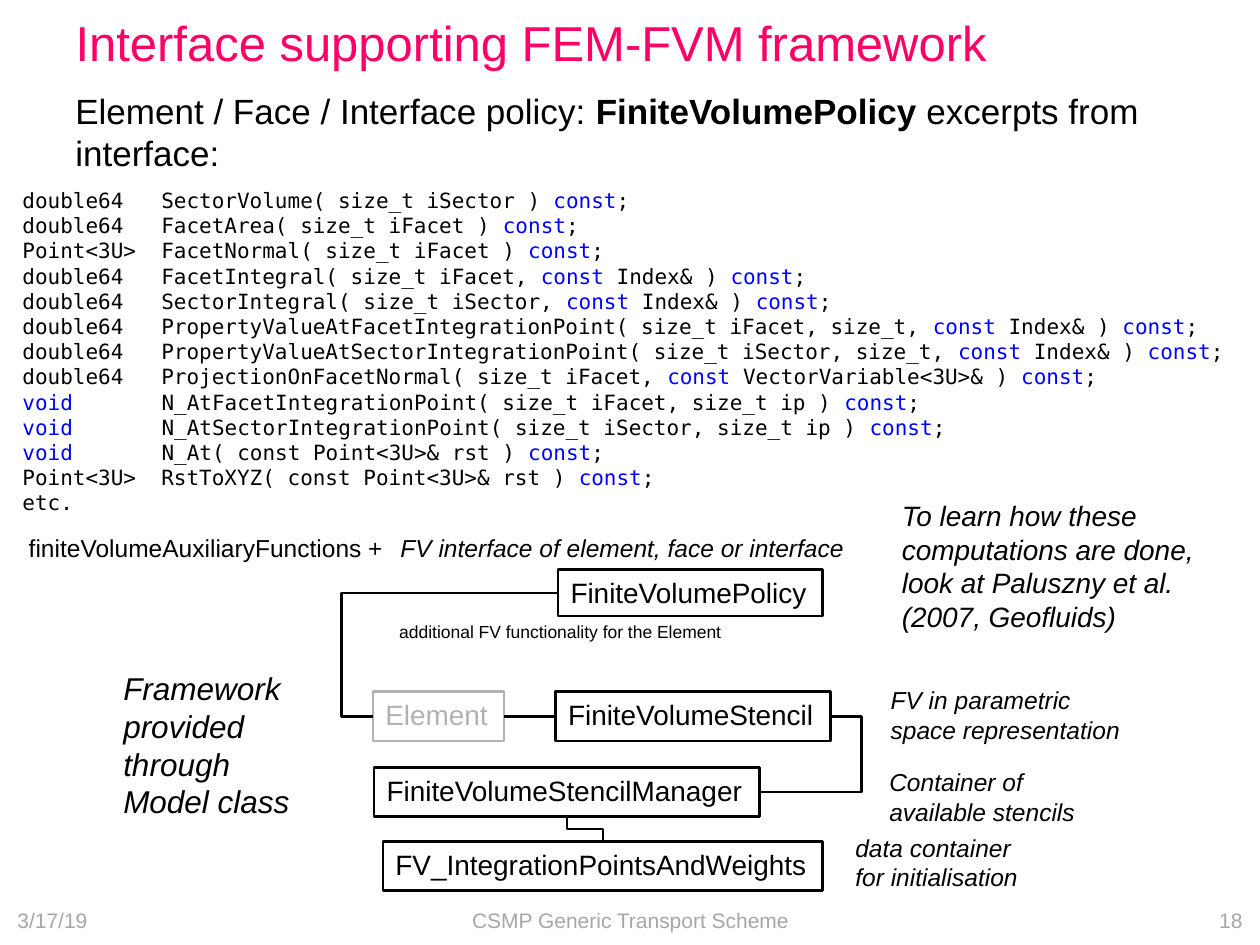
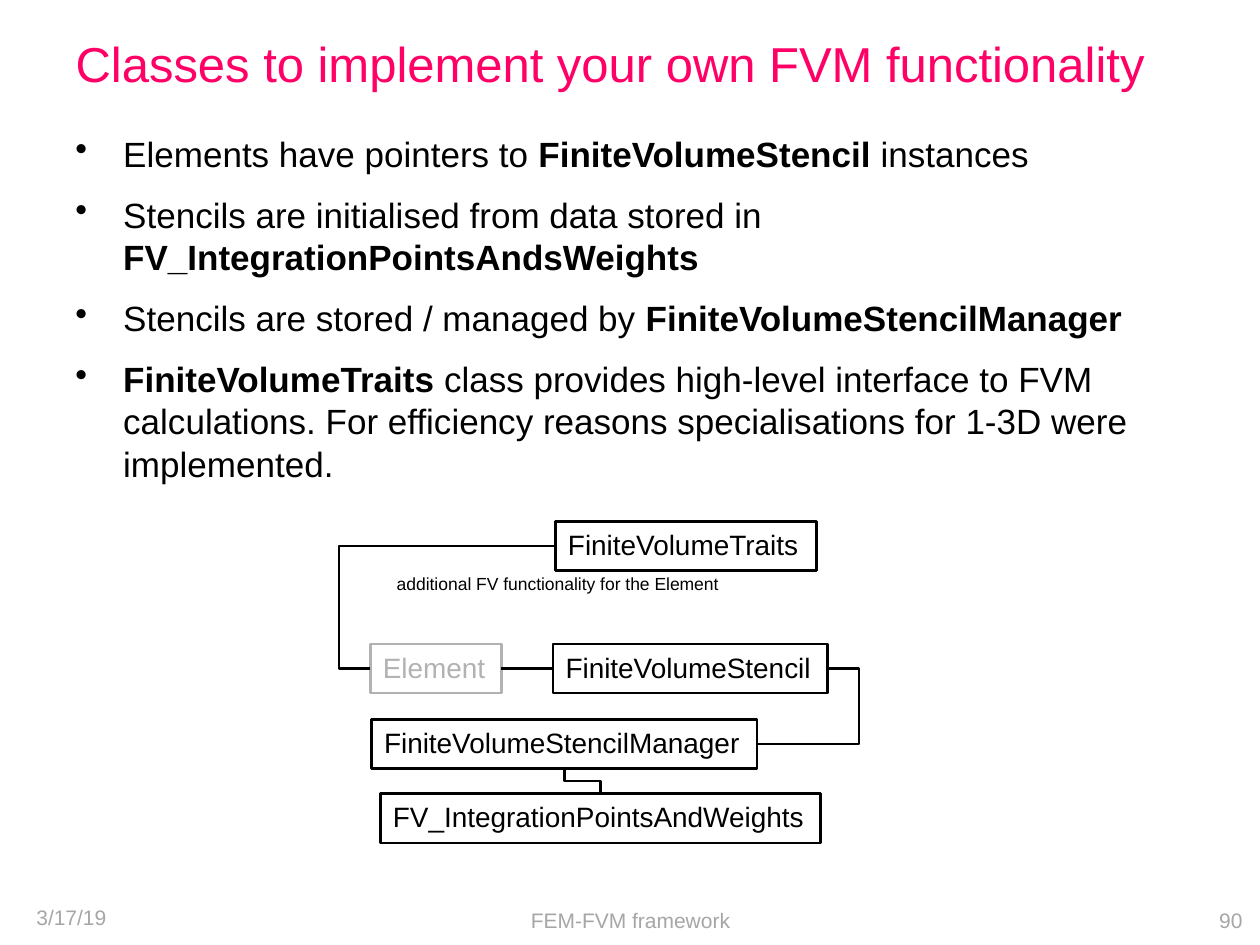
from pptx import Presentation
from pptx.dml.color import RGBColor
from pptx.enum.shapes import MSO_CONNECTOR, MSO_SHAPE
from pptx.enum.text import MSO_ANCHOR, MSO_AUTO_SIZE, PP_ALIGN
from pptx.oxml.ns import qn
from pptx.util import Inches, Pt
from lxml import etree

LEFT, CENTER, RIGHT = PP_ALIGN.LEFT, PP_ALIGN.CENTER, PP_ALIGN.RIGHT
TOP, MIDDLE = MSO_ANCHOR.TOP, MSO_ANCHOR.MIDDLE
STRAIGHT, ELBOW = MSO_CONNECTOR.STRAIGHT, MSO_CONNECTOR.ELBOW
RIGHT_SIDE, LEFT_SIDE = 3, 1

COLORS = {"title": "FF0066", "text": "000000", "keyword": "0000FF",
          "muted": "B2B2B2", "footer": "A6A6A6"}
BODY_FONT, CODE_FONT = "Arial", "DejaVu Sans Mono"
LINE_WIDTH = Pt(1.5)

# Content: text between bars is emphasised (bold, or keyword colour in code)
POLICY_INTRO = ["Element / Face / Interface policy: |FiniteVolumePolicy| excerpts from interface:"]
CODE = [
    "double64   SectorVolume( size_t iSector ) |const|;",
    "double64   FacetArea( size_t iFacet ) |const|;",
    "Point<3U>  FacetNormal( size_t iFacet ) |const|;",
    "double64   FacetIntegral( size_t iFacet, |const |Index& ) |const|;",
    "double64   SectorIntegral( size_t iSector, |const |Index& ) |const|;",
    "double64   PropertyValueAtFacetIntegrationPoint( size_t iFacet, size_t, |const |Index& ) |const|;",
    "double64   PropertyValueAtSectorIntegrationPoint( size_t iSector, size_t, |const |Index& ) |const|;",
    "double64   ProjectionOnFacetNormal( size_t iFacet, |const |VectorVariable<3U>& ) |const|;",
    "|void       |N_AtFacetIntegrationPoint( size_t iFacet, size_t ip ) |const|;",
    "|void       |N_AtSectorIntegrationPoint( size_t iSector, size_t ip ) |const|;",
    "|void       |N_At( const Point<3U>& rst ) |const|;",
    "Point<3U>  RstToXYZ( const Point<3U>& rst ) |const|;",
    "etc.",
]
# text, place, size, italic
NOTES = [
    ("To learn how these computations are done, look at Paluszny et al. (2007, Geofluids)",
     (7.06, 3.91, 2.73, 1.18), 16, True),
    ("Framework provided through Model class", (0.88, 5.26, 1.61, 1.31), 18, True),
    ("data container for initialisation", (6.69, 6.56, 1.61, 0.57), 14, True),
    ("Container of available stencils", (6.96, 6.04, 2.04, 0.57), 14, True),
    ("FV in parametric space representation", (6.97, 5.39, 2.04, 0.57), 14, True),
    ("FV interface of element, face or interface", (3.08, 4.18, 3.94, 0.34), 14, True),
    ("finiteVolumeAuxiliaryFunctions +", (0.13, 4.18, 3.94, 0.34), 14, False),
]
CLASS_BULLETS = [
    "Elements have pointers to |FiniteVolumeStencil| instances",
    "Stencils are initialised from data stored in |FV_IntegrationPointsAndsWeights|",
    "Stencils are stored / managed by |FiniteVolumeStencilManager|",
    "|FiniteVolumeTraits| class provides high-level interface to FVM calculations. "
    "For efficiency reasons specialisations for 1-3D were implemented.",
]
# Class diagram, placed relative to its own corner
CLASS_BOXES = {
    "FiniteVolumeStencil": (1.70, 0.97, 2.18, 0.39, "text"),
    "FiniteVolumeStencilManager": (0.26, 1.57, 3.06, 0.39, "text"),
    "FV_IntegrationPointsAndWeights": (0.33, 2.16, 3.49, 0.39, "text"),
    "Element": (0.25, 0.97, 1.04, 0.39, "muted"),
}
DIAGRAM_NOTE = "additional FV functionality for the Element"


def color(name):
    return RGBColor.from_string(COLORS[name])


def inches(values):
    return [Inches(value) for value in values]


def write(frame, lines, size, tint="text", font=BODY_FONT, italic=False,
          align=LEFT, anchor=TOP, wrap=True, bullet=False, space_after=0):
    frame.word_wrap = wrap
    frame.auto_size = MSO_AUTO_SIZE.NONE
    frame.vertical_anchor = anchor
    for index, line in enumerate(lines):
        paragraph = frame.paragraphs[0] if index == 0 else frame.add_paragraph()
        paragraph.alignment = align
        paragraph.space_after = Pt(space_after)
        if index and bullet:
            paragraph.space_before = Pt(3)
        if bullet:
            properties = paragraph._p.get_or_add_pPr()
            properties.set("marL", str(Inches(0.38)))
            properties.set("indent", str(Inches(-0.38)))
            etree.SubElement(properties, qn("a:buChar")).set("char", "•")
        for position, part in enumerate(line.split("|")):
            if not part:
                continue
            emphasised = position % 2 == 1
            in_code = font == CODE_FONT
            run = paragraph.add_run()
            run.text = part
            run.font.name, run.font.size = font, Pt(size)
            run.font.italic = italic
            run.font.bold = emphasised and not in_code
            run.font.color.rgb = color("keyword" if emphasised and in_code else tint)


def add_text(slide, place, lines, size, **style):
    write(slide.shapes.add_textbox(*inches(place)).text_frame, lines, size, **style)


def start_slide(presentation, title, title_place, footer, number, date_place):
    slide = presentation.slides.add_slide(presentation.slide_layouts[5])
    heading = slide.shapes.title
    heading.left, heading.top, heading.width, heading.height = inches(title_place)
    write(heading.text_frame, [title], 28, tint="title", anchor=MIDDLE)
    for text, place, align in [("3/17/19", date_place, LEFT),
                               (footer, (3.42, 7.1, 3.17, 0.4), CENTER),
                               (number, (7.63, 7.1, 2.33, 0.4), RIGHT)]:
        add_text(slide, place, [text], 12, tint="footer", align=align, anchor=MIDDLE)
    return slide


def add_connector(slide, kind, start, end):
    connector = slide.shapes.add_connector(kind, *start, *end)
    connector.line.color.rgb = color("text")
    connector.line.width = LINE_WIDTH
    etree.SubElement(connector._element.spPr, qn("a:effectLst"))
    return connector


def add_side_elbow(slide, start, end, bend_x):
    """Leave and arrive horizontally, turning at bend_x."""
    connector = add_connector(slide, ELBOW, start, end)
    ratio = (bend_x - start[0]) / (end[0] - start[0])
    guides = connector._element.spPr.find(qn("a:prstGeom")).get_or_add_avLst()
    guide = etree.SubElement(guides, qn("a:gd"))
    guide.set("name", "adj1")
    guide.set("fmla", f"val {round(ratio * 100000)}")


def add_down_elbow(slide, start, end):
    """Leave and arrive vertically: a turned, mirrored elbow."""
    connector = add_connector(slide, ELBOW, start, end)
    across, down = end[0] - start[0], end[1] - start[1]
    connector.left = (start[0] + end[0] - down) // 2
    connector.top = (start[1] + end[1] - across) // 2
    connector.width, connector.height = down, across
    transform = connector._element.spPr.find(qn("a:xfrm"))
    transform.set("rot", str(270 * 60000))
    transform.set("flipH", "1")


def add_class_diagram(slide, left, top, interface, width, height):
    boxes = {}
    specs = {**CLASS_BOXES, interface: (1.72, 0, width, height, "text")}
    for name, (x, y, box_width, box_height, tint) in specs.items():
        box = slide.shapes.add_shape(
            MSO_SHAPE.RECTANGLE, *inches((left + x, top + y, box_width, box_height)))
        box.shadow.inherit = False
        box.fill.background()
        box.line.color.rgb = color(tint)
        box.line.width = LINE_WIDTH
        write(box.text_frame, [name], 16, tint=tint, wrap=False)
        boxes[name] = box
    add_text(slide, (left + 0.36, top + 0.36, 2.75, 0.27), [DIAGRAM_NOTE], 10)

    def side(name, x_share, y_share):
        box = boxes[name]
        return (box.left + round(box.width * x_share), box.top + round(box.height * y_share))

    # Links between the classes
    link = add_connector(slide, STRAIGHT, side("Element", 1, 0.5),
                         side("FiniteVolumeStencil", 0, 0.5))
    link.begin_connect(boxes["Element"], RIGHT_SIDE)
    link.end_connect(boxes["FiniteVolumeStencil"], LEFT_SIDE)
    add_side_elbow(slide, side(interface, 0, 0.5), side("Element", 0, 0.5), Inches(left))
    add_side_elbow(slide, side("FiniteVolumeStencil", 1, 0.5),
                   side("FiniteVolumeStencilManager", 1, 0.5), Inches(left + 4.13))
    add_down_elbow(slide, side("FiniteVolumeStencilManager", 0.5, 1),
                   side("FV_IntegrationPointsAndWeights", 0.5, 0))


def main():
    presentation = Presentation()
    presentation.slide_width, presentation.slide_height = Inches(10), Inches(7.5)

    # Policy interface
    slide = start_slide(presentation, "Interface supporting FEM-FVM framework",
                        (0.5, 0.09, 9, 0.48), "CSMP Generic Transport Scheme", "18",
                        (0.04, 7.1, 2.33, 0.4))
    add_text(slide, (0.5, 0.66, 9.2, 0.97), POLICY_INTRO, 20, space_after=8)
    add_class_diagram(slide, 2.71, 4.52, "FiniteVolumePolicy", 2.1, 0.37)
    add_text(slide, (0.08, 1.44, 9.91, 2.73), CODE, 12, font=CODE_FONT)
    for text, place, size, italic in NOTES:
        add_text(slide, place, [text], size, italic=italic)

    # Classes to extend
    slide = start_slide(presentation, "Classes to implement your own FVM functionality",
                        (0.5, 0, 9, 1), "FEM-FVM framework", "90", (0.19, 7.03, 3.15, 0.5))
    add_text(slide, (0.5, 1, 9, 5.7), CLASS_BULLETS, 20, bullet=True, space_after=8)
    add_class_diagram(slide, 2.69, 4.14, "FiniteVolumeTraits", 2.07, 0.39)

    presentation.save("out.pptx")


if __name__ == "__main__":
    main()
